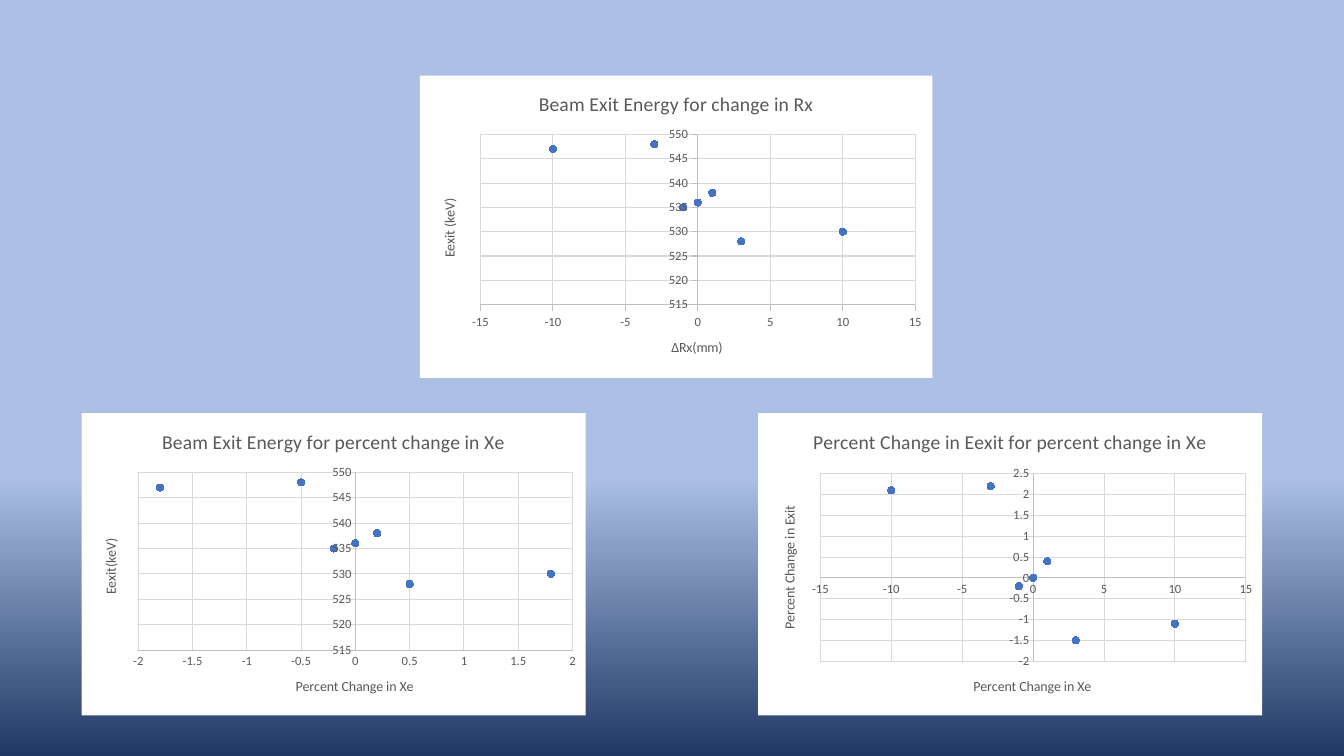
from dataclasses import dataclass

from lxml import etree
from pptx import Presentation
from pptx import util as u
from pptx.chart.data import XyChartData
from pptx.dml.color import RGBColor
from pptx.enum import chart as charts
from pptx.oxml import ns

Pt = u.Pt


@dataclass(frozen=True)
class Theme:
    """Colours, font and type sizes of the slide."""
    sky: RGBColor = RGBColor.from_string("ABC0E4")
    navy: RGBColor = RGBColor.from_string("203864")
    text: RGBColor = RGBColor.from_string("595959")
    axis: RGBColor = RGBColor.from_string("BFBFBF")
    grid: RGBColor = RGBColor.from_string("D9D9D9")
    dot: RGBColor = RGBColor.from_string("4472C4")
    panel: str = "FFFFFF"
    font: str = "Calibri"
    title_size: int = 14
    axis_title_size: int = 10
    label_size: int = 9
    line_width: float = 0.75
    dot_size: int = 5


@dataclass(frozen=True)
class Scatter:
    """Wording, data, scales and plot box of one scatter chart."""
    title: str
    x_title: str
    y_title: str
    points: list
    x_scale: tuple
    y_scale: tuple
    plot: tuple
    tick: charts.XL_TICK_MARK = charts.XL_TICK_MARK.NONE


THEME = Theme()

DELTA_RX = [0, -1, 1, -3, 3, 10, -10]
DELTA_XE = [0, -0.2, 0.2, -0.5, 0.5, 1.8, -1.8]
ENERGY = [536, 535, 538, 548, 528, 530, 547]
ENERGY_CHANGE = [0, -0.2, 0.4, 2.2, -1.5, -1.1, 2.1]

RX_ENERGY = Scatter(
    "Beam Exit Energy for change in Rx", "ΔRx(mm)", "Eexit (keV)",
    list(zip(DELTA_RX, ENERGY)), (-15, 15, 5), (515, 550, 5),
    (43.2, 42.1, 310.6, 121.6), charts.XL_TICK_MARK.OUTSIDE)
XE_ENERGY = Scatter(
    "Beam Exit Energy for percent change in Xe", "Percent Change in Xe", "Eexit(keV)",
    list(zip(DELTA_XE, ENERGY)), (-2, 2, 0.5), (515, 550, 5),
    (40.5, 42.4, 310.2, 127))
XE_CHANGE = Scatter(
    "Percent Change in Eexit for percent change in Xe", "Percent Change in Xe",
    "Percent Change in Exit",
    list(zip(DELTA_RX, ENERGY_CHANGE)), (-15, 15, 5), (-2, 2.5, 0.5),
    (44.5, 43.4, 304, 134))


def style_font(font, size):
    """Apply the theme font at the given size."""
    font.name, font.size, font.bold = THEME.font, Pt(size), False
    font.color.rgb = THEME.text


def style_line(line, color):
    """Draw a thin line in the given colour."""
    line.color.rgb = color
    line.width = Pt(THEME.line_width)


def write_title(owner, wording, size):
    """Give a chart or an axis its title and return the text frame."""
    owner.has_title = True
    title = owner.chart_title if hasattr(owner, "chart_title") else owner.axis_title
    title.text_frame.text = wording
    style_font(title.text_frame.paragraphs[0].font, size)
    return title.text_frame


def style_axis(axis, wording, scale, tick):
    """Set scale, grid, labels and title of an axis."""
    axis.minimum_scale, axis.maximum_scale, axis.major_unit = scale
    axis.major_tick_mark, axis.minor_tick_mark = tick, charts.XL_TICK_MARK.NONE
    axis.has_major_gridlines = True
    style_line(axis.major_gridlines.format.line, THEME.grid)
    style_line(axis.format.line, THEME.axis)
    style_font(axis.tick_labels.font, THEME.label_size)
    return write_title(axis, wording, THEME.axis_title_size)


def set_panel(chart):
    """Fill the chart area and remove its border."""
    area = etree.Element(ns.qn("c:spPr"))
    fill = etree.SubElement(area, ns.qn("a:solidFill"))
    etree.SubElement(fill, ns.qn("a:srgbClr"), val=THEME.panel)
    line = etree.SubElement(area, ns.qn("a:ln"))
    etree.SubElement(line, ns.qn("a:noFill"))
    chart.element.find(ns.qn("c:chart")).addnext(area)


def place_plot(chart, plot, width, height):
    """Place the inner plot box within a chart of the given size."""
    area = chart.element.find(".//" + ns.qn("c:plotArea"))
    for old in area.findall(ns.qn("c:layout")):
        area.remove(old)
    layout = etree.Element(ns.qn("c:layout"))
    manual = etree.SubElement(layout, ns.qn("c:manualLayout"))
    settings = [("layoutTarget", "inner"), ("xMode", "edge"), ("yMode", "edge")]
    fractions = [part / whole for part, whole in zip(plot, (width, height) * 2)]
    for name, value in settings + list(zip("xywh", fractions)):
        etree.SubElement(manual, ns.qn("c:" + name), val=str(value))
    area.insert(0, layout)


def add_scatter(page, scatter, box):
    """Add a scatter chart in a box of left, top, width and height."""
    data = XyChartData()
    series = data.add_series("Series 1")
    for x, y in scatter.points:
        series.add_data_point(x, y)
    chart = page.shapes.add_chart(
        charts.XL_CHART_TYPE.XY_SCATTER, *map(Pt, box), data).chart
    chart.has_legend = False
    style_font(chart.font, THEME.axis_title_size)
    set_panel(chart)
    place_plot(chart, scatter.plot, *box[2:])
    write_title(chart, scatter.title, THEME.title_size)
    style_axis(chart.category_axis, scatter.x_title, scatter.x_scale, scatter.tick)
    frame = style_axis(chart.value_axis, scatter.y_title, scatter.y_scale, scatter.tick)
    body = frame._txBody.find(ns.qn("a:bodyPr"))
    body.set("rot", "-5400000")
    body.set("vert", "horz")
    chart.plots[0].vary_by_categories = False
    dots = chart.plots[0].series[0]
    dots.smooth = False
    dots.format.line.fill.background()
    dots.marker.style = charts.XL_MARKER_STYLE.CIRCLE
    dots.marker.size = THEME.dot_size
    dots.marker.format.fill.solid()
    dots.marker.format.fill.fore_color.rgb = THEME.dot
    style_line(dots.marker.format.line, THEME.dot)


def paint_background(page):
    """Fade the page from sky to navy towards the bottom."""
    fill = page.background.fill
    fill.gradient()
    fill.gradient_angle = 270
    stops = [(0.63, THEME.sky), (1, THEME.navy)]
    for stop, (position, color) in zip(fill.gradient_stops, stops):
        stop.position = position
        stop.color.rgb = color


def main():
    """Build the deck and save it."""
    deck = Presentation()
    deck.slide_width, deck.slide_height = Pt(960), Pt(540)
    page = deck.slides.add_slide(deck.slide_layouts[6])
    paint_background(page)
    add_scatter(page, RX_ENERGY, (300, 54, 366, 216))
    add_scatter(page, XE_CHANGE, (541.5, 295, 360, 216))
    add_scatter(page, XE_ENERGY, (58.3, 295, 360, 216))
    deck.save("out.pptx")


if __name__ == "__main__":
    main()
